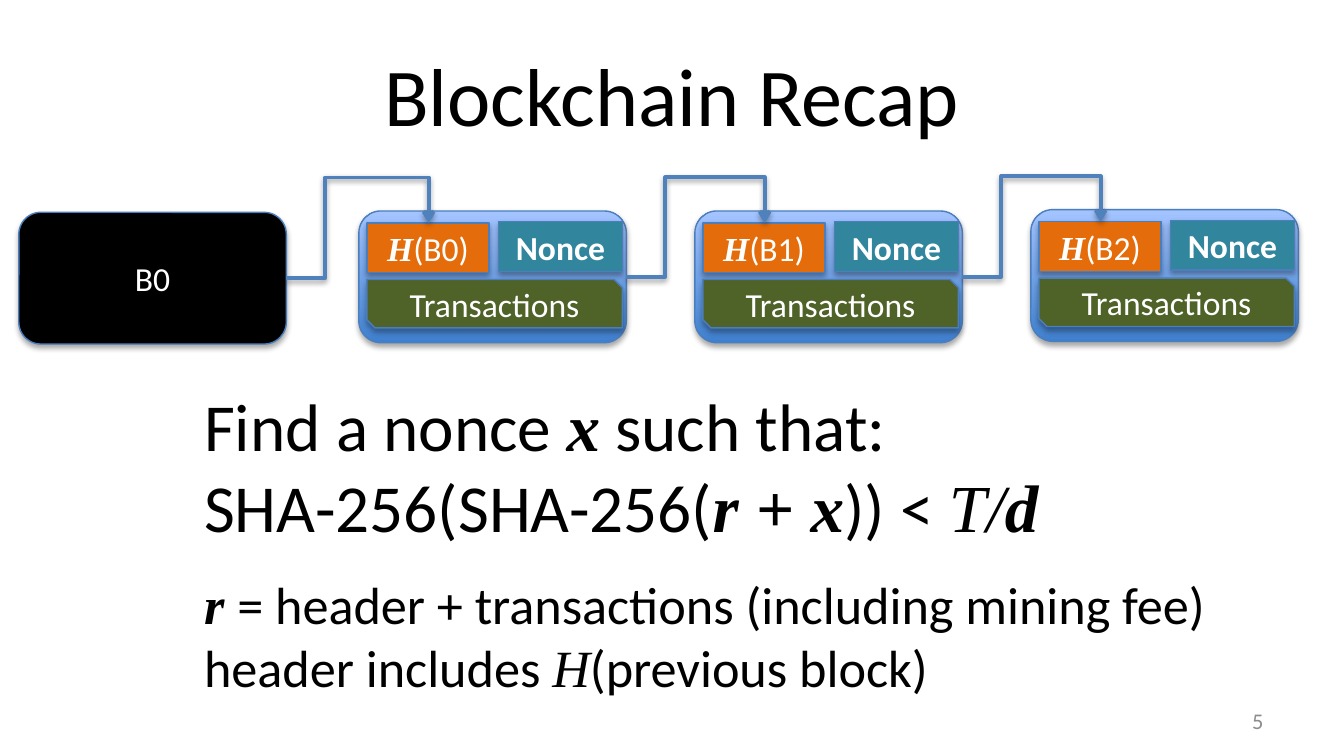
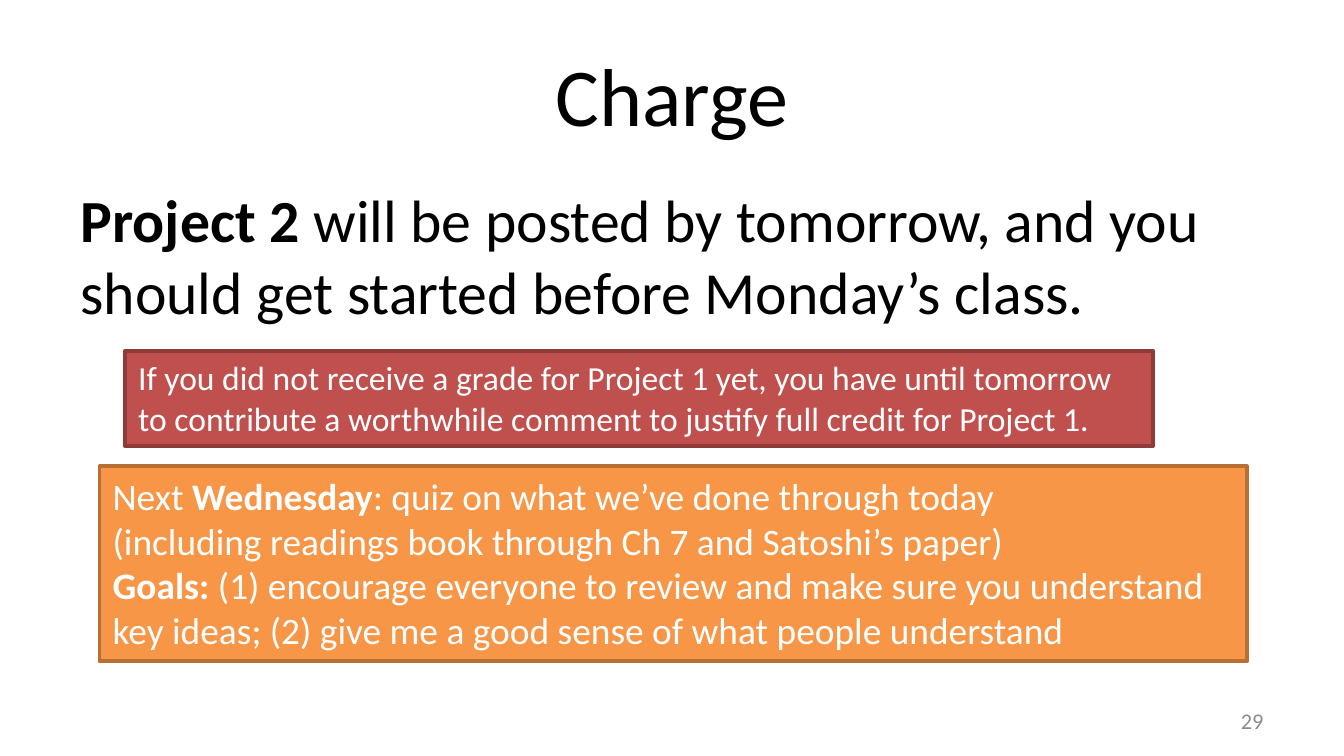
from dataclasses import dataclass

from lxml import etree
from pptx import Presentation
from pptx.dml.color import RGBColor
from pptx.enum.shapes import MSO_CONNECTOR, MSO_SHAPE
from pptx.enum.text import MSO_ANCHOR, MSO_AUTO_SIZE, PP_ALIGN
from pptx.oxml.ns import qn
from pptx.util import Inches, Pt

LEFT, CENTER, RIGHT = PP_ALIGN.LEFT, PP_ALIGN.CENTER, PP_ALIGN.RIGHT
TOP, MIDDLE = MSO_ANCHOR.TOP, MSO_ANCHOR.MIDDLE
GROW = MSO_AUTO_SIZE.SHAPE_TO_FIT_TEXT
ELBOW = MSO_CONNECTOR.ELBOW
RECT, ROUND = MSO_SHAPE.RECTANGLE, MSO_SHAPE.ROUNDED_RECTANGLE
SNIP = MSO_SHAPE.SNIP_2_DIAG_RECTANGLE


@dataclass(frozen=True)
class Theme:
    font: str = "Calibri"
    math_font: str = "Times New Roman"
    ink: str = "000000"
    light: str = "FFFFFF"
    number: str = "8C8C8C"
    edge: str = "4B7EBC"
    link: str = "4F81BD"
    block_low: str = "3F80CE"
    block_high: str = "A4C4FF"
    hash_fill: str = "E46C0A"
    nonce_fill: str = "31859C"
    tx_fill: str = "4F6228"
    alert: str = "C0504D"
    alert_edge: str = "8E3B39"
    quiz: str = "F79646"
    quiz_edge: str = "B76F34"
    title_size: int = 44
    formula_size: int = 36
    body_size: int = 32
    detail_size: int = 28
    quiz_size: int = 20
    label_size: int = 18
    number_size: int = 12


T = Theme()


def rgb(color):
    return RGBColor.from_string(color)


def inches(box):
    return [Inches(v) for v in box]


# Text: a paragraph is a list of (text, style) runs.
# Style letters: b = bold, i = italic, m = math font
def write(tf, paras, size, color, align=LEFT, anchor=TOP):
    tf.vertical_anchor = anchor
    for n, runs in enumerate(paras):
        p = tf.paragraphs[0] if n == 0 else tf.add_paragraph()
        p.alignment = align
        for text, style in runs:
            r = p.add_run()
            r.text = text
            r.font.name = T.math_font if "m" in style else T.font
            r.font.size = Pt(size)
            r.font.bold = "b" in style
            r.font.italic = "i" in style
            r.font.color.rgb = rgb(color)


def add_text(s, box, paras, size, color=T.ink, align=LEFT, anchor=TOP, wrap=True):
    tf = s.shapes.add_textbox(*inches(box)).text_frame
    tf.word_wrap = wrap
    if not wrap:
        tf.auto_size = GROW
    write(tf, paras, size, color, align, anchor)


def set_shadow(sp, alpha, distance):
    spPr = sp._element.spPr
    effects = spPr.find(qn("a:effectLst"))
    if effects is None:
        effects = etree.SubElement(spPr, qn("a:effectLst"))
    shadow = etree.SubElement(effects, qn("a:outerShdw"), blurRad=str(Pt(3.1)),
                              dist=str(Pt(distance)), dir="5400000", rotWithShape="0")
    color = etree.SubElement(shadow, qn("a:srgbClr"), val=T.ink)
    etree.SubElement(color, qn("a:alpha"), val=str(alpha * 1000))


def add_box(s, kind, box, fill, edge, width):
    sp = s.shapes.add_shape(kind, *inches(box))
    sp.shadow.inherit = False
    if isinstance(fill, tuple):
        sp.fill.gradient()
        sp.fill.gradient_angle = 90
        for stop, color in zip(sp.fill.gradient_stops, fill):
            stop.color.rgb = rgb(color)
    else:
        sp.fill.solid()
        sp.fill.fore_color.rgb = rgb(fill)
    sp.line.color.rgb = rgb(edge)
    sp.line.width = Pt(width)
    return sp


def add_tile(s, kind, box, fill, runs=None):
    sp = add_box(s, kind, box, fill, T.edge, 0.75)
    set_shadow(sp, 35, 1.8)
    if runs:
        write(sp.text_frame, [runs], T.label_size, T.light, CENTER, MIDDLE)


def add_note(s, box, fill, edge, paras, size):
    tf = add_box(s, RECT, box, fill, edge, 2).text_frame
    tf.word_wrap = True
    tf.auto_size = GROW
    write(tf, paras, size, T.light)


# Frame shared by both slides: title and slide number
def new_slide(prs, title, number):
    s = prs.slides.add_slide(prs.slide_layouts[6])
    add_text(s, (0.5, 0.23, 9, 0.94), [[(title, "")]], T.title_size,
             align=CENTER, anchor=MIDDLE)
    add_text(s, (7.17, 5.21, 2.33, 0.3), [[(str(number), "")]], T.number_size,
             T.number, RIGHT, MIDDLE)
    return s


# One block of the chain: previous hash, nonce and transactions
def add_block(s, x, y, w, h, previous):
    add_tile(s, ROUND, (x, y, w, h), (T.block_low, T.block_high))
    add_tile(s, RECT, (x + 0.06, y + 0.09, 0.91, 0.37), T.hash_fill,
             [("H", "bim"), (f"({previous})", "")])
    add_tile(s, RECT, (x + 1.04, y + 0.08, 0.92, 0.37), T.nonce_fill, [("Nonce", "b")])
    add_tile(s, SNIP, (x + 0.06, y + 0.51, 1.9, 0.36), T.tx_fill, [("Transactions", "")])


# Arrow that leaves sideways, climbs above its target and drops onto it
def add_link(s, x1, y1, x2, y2, run=0.29, climb=0.34):
    cx = s.shapes.add_connector(ELBOW, *inches((x1, y1, x2, y2)))
    cx.line.color.rgb = rgb(T.link)
    cx.line.width = Pt(2)
    etree.SubElement(cx.line._get_or_add_ln(), qn("a:tailEnd"), type="arrow")
    set_shadow(cx, 38, 1.6)
    geom = cx._element.spPr.find(qn("a:prstGeom"))
    geom.set("prst", "bentConnector4")
    guides = geom.find(qn("a:avLst"))
    if guides is None:
        guides = etree.SubElement(geom, qn("a:avLst"))
    bends = (run / (x2 - x1), 1 + climb / (y1 - y2))
    for n, bend in enumerate(bends, 1):
        etree.SubElement(guides, qn("a:gd"), name=f"adj{n}",
                         fmla=f"val {round(bend * 100000)}")


def add_chain(s, x, y):
    w, h, pitch = 1.99, 0.98, 2.5
    add_tile(s, ROUND, (x, y, w, h), T.ink, [("B0", "")])
    right, middle = x + w, y + h / 2
    first = x + 2.53
    for n, lift in enumerate((0.01, 0.01, 0.02)):
        bx, by = first + n * pitch, y - lift
        add_block(s, bx, by, w, h, f"B{n}")
        add_link(s, right, middle, bx + 0.52, by + 0.09)
        right, middle = bx + w, by + h / 2


def recap_slide(prs):
    s = new_slide(prs, "Blockchain Recap", 5)
    add_chain(s, 0.14, 1.58)
    # Mining condition
    add_text(s, (1.42, 2.81, 6.62, 1.31), [
        [("Find a nonce ", ""), ("x", "bim"), (" such that:", "")],
        [("SHA-256(SHA-256(", ""), ("r + x", "bim"), (")) < ", ""),
         ("T/", "im"), ("d", "bim")],
    ], T.formula_size, wrap=False)
    # Meaning of r
    add_text(s, (1.42, 4.21, 7.78, 1.04), [
        [("r ", "bim"), ("= header + transactions (including mining fee)", "")],
        [("header includes ", ""), ("H", "im"), ("(previous block)", "")],
    ], T.detail_size, wrap=False)


def charge_slide(prs):
    s = new_slide(prs, "Charge", 29)
    add_text(s, (0.5, 1.31, 9, 3.71), [
        [("Project 2 ", "b"),
         ("will be posted by tomorrow, and you should get started "
          "before Monday’s class.", "")],
    ], T.body_size)
    # Grade reminder
    add_note(s, (0.93, 2.61, 7.65, 0.71), T.alert, T.alert_edge, [
        [("If you did not receive a grade for Project 1 yet, you have until tomorrow "
          "to contribute a worthwhile comment to justify full credit for Project 1.", "")],
    ], T.label_size)
    # Quiz announcement
    add_note(s, (0.74, 3.47, 8.54, 1.45), T.quiz, T.quiz_edge, [
        [("Next ", ""), ("Wednesday", "b"),
         (": quiz on what we’ve done through today", "")],
        [("(including readings book through Ch 7 and Satoshi’s paper)", "")],
        [("Goals: ", "b"),
         ("(1) encourage everyone to review and make sure you understand key ideas; "
          "(2) give me a good sense of what people understand", "")],
    ], T.quiz_size)


def main():
    prs = Presentation()
    # Widescreen, 16:9
    prs.slide_width = Inches(10)
    prs.slide_height = Inches(10 * 9 / 16)
    recap_slide(prs)
    charge_slide(prs)
    prs.save("out.pptx")


if __name__ == "__main__":
    main()
